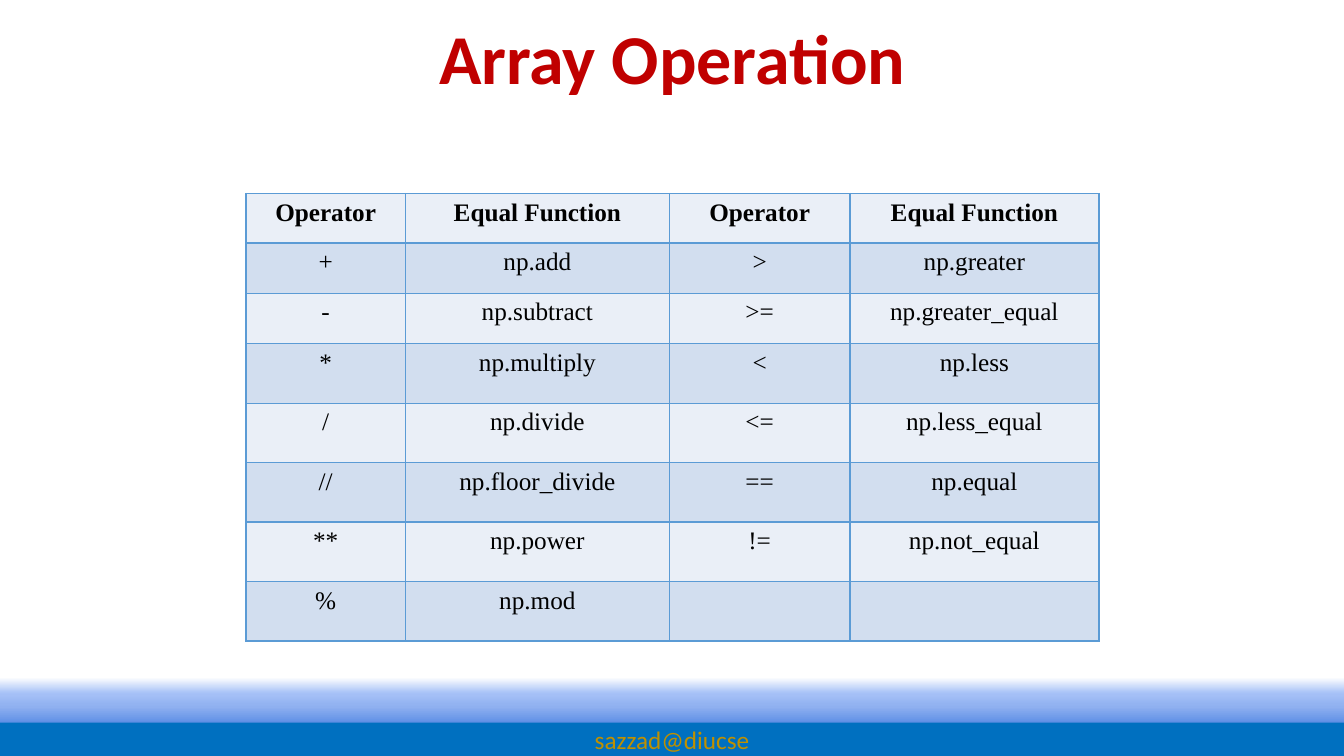
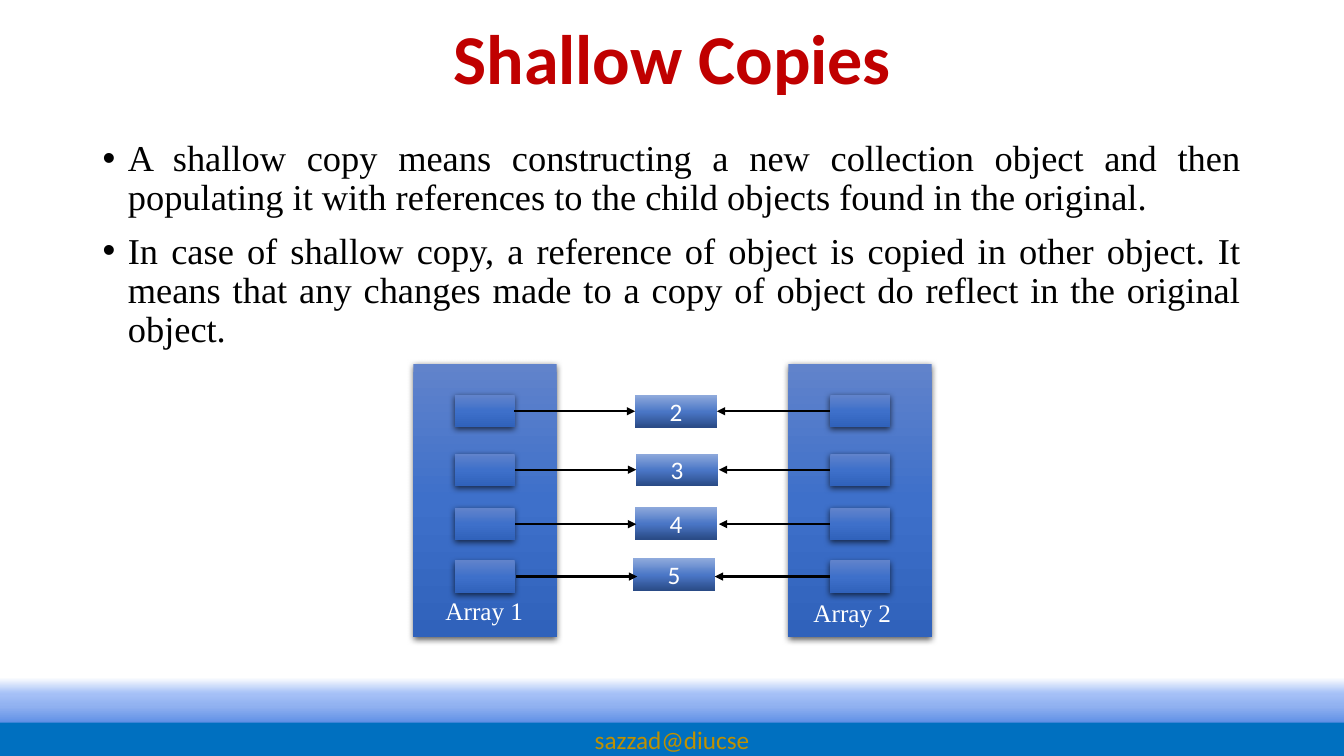
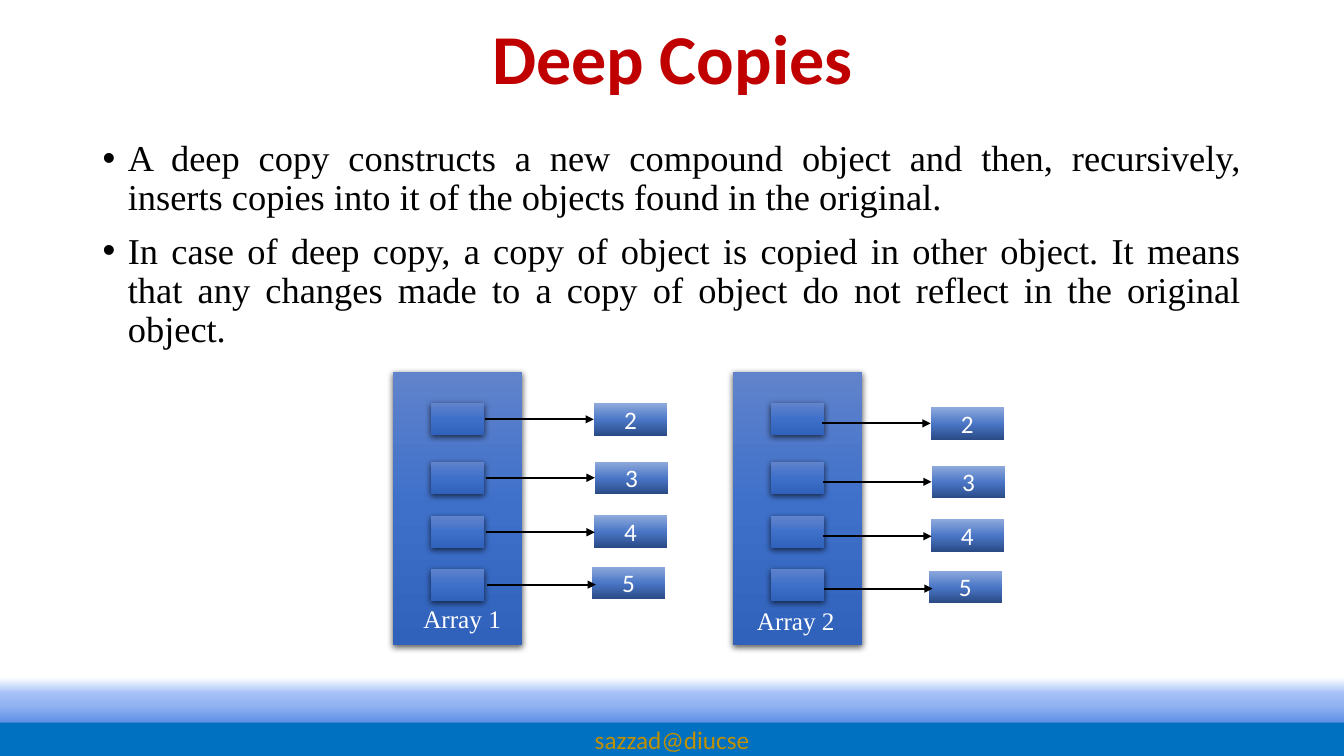
from dataclasses import dataclass

from lxml.etree import SubElement
from pptx import Presentation
from pptx.dml.color import RGBColor
from pptx.enum.shapes import MSO_CONNECTOR, MSO_SHAPE
from pptx.enum.text import MSO_ANCHOR, MSO_AUTO_SIZE, PP_ALIGN
from pptx.oxml.ns import qn
from pptx.util import Inches, Pt


@dataclass(frozen=True)
class Theme:
    heading_font: str = "Calibri"
    body_font: str = "Times New Roman"
    title_size: int = 50
    body_size: int = 26
    small_size: int = 18
    title: str = "C00000"
    ink: str = "000000"
    light: str = "FFFFFF"
    footer: str = "0070C0"
    footer_text: str = "BF9000"
    table_line: str = "5B9BD5"
    table_bands: tuple = ("EAEFF7", "D2DEEF")
    glow: tuple = ((0, "FFFFFF"), (35, "A6C1F7"), (65, "8FB0F0"), (100, "5F90E6"))
    panel: tuple = ((0, "6183CB"), (50, "3E70CA"), (100, "3062BB"))
    value: tuple = ((0, "8FAADC"), (52, "4A76C6"), (100, "2A4B86"))


@dataclass(frozen=True)
class Box:
    left: float
    top: float
    width: float
    height: float

    @property
    def right(self):
        return self.left + self.width

    def inches(self):
        return [Inches(length) for length in (self.left, self.top, self.width, self.height)]


THEME = Theme()
TITLE_BOX = Box(1.72, 0.09, 9.9, 0.94)
GLOW_BOX = Box(0, 6.72, 13.33, 0.45)
FOOTER_BOX = Box(0, 7.17, 13.33, 0.33)
BODY_BOX = Box(0.92, 1.34, 11.5, 2.2)
TABLE_BOX = Box(2.44, 1.92, 8.46, 4.43)

COLUMN_WIDTHS = (1.58, 2.62, 1.79, 2.47)
ROW_HEIGHTS = (0.49, 0.5, 0.5, 0.59, 0.59, 0.59, 0.59, 0.59)
OPERATORS = (
    ("Operator", "Equal Function", "Operator", "Equal Function"),
    ("+", "np.add", ">", "np.greater"),
    ("-", "np.subtract", ">=", "np.greater_equal"),
    ("*", "np.multiply", "<", "np.less"),
    ("/", "np.divide", "<=", "np.less_equal"),
    ("//", "np.floor_divide", "==", "np.equal"),
    ("**", "np.power", "!=", "np.not_equal"),
    ("%", "np.mod", "", ""),
)

SLOT_OFFSETS = (0.31, 0.89, 1.43, 1.95)
VALUE_OFFSETS = (0.31, 0.89, 1.42, 1.93)
VALUE_SHIFTS = (0, 0.01, 0, -0.02)
ARROW_SHIFTS = (0, 0.01, 0.01, 0.02)
SLOT_HEIGHT = 0.32
VALUES = ("2", "3", "4", "5")

SHALLOW_POINTS = (
    "A shallow copy means constructing a new collection object and then populating it "
    "with references to the child objects found in the original.",
    "In case of shallow copy, a reference of object is copied in other object. It means "
    "that any changes made to a copy of object do reflect in the original object.",
)
DEEP_POINTS = (
    "A deep copy constructs a new compound object and then, recursively, inserts copies "
    "into it of the objects found in the original.",
    "In case of deep copy, a copy of object is copied in other object. It means that any "
    "changes made to a copy of object do not reflect in the original object.",
)


def add_run(paragraph, text, font, size, color, bold=False):
    run = paragraph.add_run()
    run.text = text
    run.font.name = font
    run.font.size = Pt(size)
    run.font.bold = bold
    run.font.color.rgb = RGBColor.from_string(color)


def fill_gradient(shape, stops):
    shape.fill.gradient()
    shape.fill.gradient_angle = 270
    stop_list = shape.element.spPr.find(qn("a:gradFill")).find(qn("a:gsLst"))
    for stop in list(stop_list):
        stop_list.remove(stop)
    for position, color in stops:
        stop = SubElement(stop_list, qn("a:gs"), pos=str(position * 1000))
        SubElement(stop, qn("a:srgbClr"), val=color)


def add_shadow(shape, alpha, blur, distance, angle):
    effects = shape.element.spPr.find(qn("a:effectLst"))
    shadow = SubElement(
        effects, qn("a:outerShdw"), blurRad=str(Pt(blur)), dist=str(Pt(distance)),
        dir=str(angle * 60000), algn="ctr", rotWithShape="0",
    )
    color = SubElement(shadow, qn("a:srgbClr"), val=THEME.ink)
    SubElement(color, qn("a:alpha"), val=str(alpha * 1000))


def add_rectangle(slide, box, fill, text="", color=THEME.light):
    shape = slide.shapes.add_shape(MSO_SHAPE.RECTANGLE, *box.inches())
    shape.shadow.inherit = False
    shape.line.fill.background()
    if isinstance(fill, str):
        shape.fill.solid()
        shape.fill.fore_color.rgb = RGBColor.from_string(fill)
    else:
        fill_gradient(shape, fill)
    if text:
        shape.text_frame.vertical_anchor = MSO_ANCHOR.MIDDLE
        paragraph = shape.text_frame.paragraphs[0]
        paragraph.alignment = PP_ALIGN.CENTER
        add_run(paragraph, text, THEME.heading_font, THEME.small_size, color)
    return shape


def add_text_frame(slide, box):
    text_frame = slide.shapes.add_textbox(*box.inches()).text_frame
    text_frame.word_wrap = True
    return text_frame


def add_base_slide(presentation, title):
    slide = presentation.slides.add_slide(presentation.slide_layouts.get_by_name("Title Only"))
    placeholder = slide.shapes.title
    placeholder.left, placeholder.top, placeholder.width, placeholder.height = TITLE_BOX.inches()
    text_frame = placeholder.text_frame
    text_frame.auto_size = MSO_AUTO_SIZE.NONE
    text_frame.vertical_anchor = MSO_ANCHOR.TOP
    paragraph = text_frame.paragraphs[0]
    paragraph.alignment = PP_ALIGN.CENTER
    add_run(paragraph, title, THEME.heading_font, THEME.title_size, THEME.title, True)
    add_rectangle(slide, GLOW_BOX, THEME.glow)
    footer = add_rectangle(slide, FOOTER_BOX, THEME.footer, "sazzad@diucse", THEME.footer_text)
    add_shadow(footer, 30, 15, 18, 45)
    return slide


def add_bullets(slide, box, points):
    text_frame = add_text_frame(slide, box)
    for index, point in enumerate(points):
        paragraph = text_frame.add_paragraph() if index else text_frame.paragraphs[0]
        paragraph.alignment = PP_ALIGN.JUSTIFY
        paragraph.line_spacing = 0.9
        paragraph.space_before = Pt(10)
        add_run(paragraph, point, THEME.body_font, THEME.body_size, THEME.ink)
        properties = paragraph._p.get_or_add_pPr()
        properties.set("marL", str(Inches(0.25)))
        properties.set("indent", str(Inches(-0.25)))
        SubElement(properties, qn("a:buFont"), typeface="Arial")
        SubElement(properties, qn("a:buChar"), char="•")


def format_cell(cell, text, fill, bold):
    properties = cell._tc.get_or_add_tcPr()
    for side in ("a:lnL", "a:lnR", "a:lnT", "a:lnB"):
        line = SubElement(properties, qn(side), w=str(Pt(1)))
        SubElement(SubElement(line, qn("a:solidFill")), qn("a:srgbClr"), val=THEME.table_line)
    cell.fill.solid()
    cell.fill.fore_color.rgb = RGBColor.from_string(fill)
    if text:
        paragraph = cell.text_frame.paragraphs[0]
        paragraph.alignment = PP_ALIGN.CENTER
        add_run(paragraph, text, THEME.body_font, THEME.small_size, THEME.ink, bold)


def add_operator_table(slide, box):
    frame = slide.shapes.add_table(len(OPERATORS), len(COLUMN_WIDTHS), *box.inches())
    table = frame.table
    table.first_row = False
    table.horz_banding = False
    for column, width in zip(table.columns, COLUMN_WIDTHS):
        column.width = Inches(width)
    for row_index, (row, height) in enumerate(zip(table.rows, ROW_HEIGHTS)):
        row.height = Inches(height)
        for cell, text in zip(row.cells, OPERATORS[row_index]):
            format_cell(cell, text, THEME.table_bands[row_index % 2], row_index == 0)


def add_array_panel(slide, box, label, label_left, label_top):
    slot_width = round(box.width * 0.415, 2)
    slot_left = box.left + (box.width - slot_width) / 2
    slots = [Box(slot_left, box.top + offset, slot_width, SLOT_HEIGHT) for offset in SLOT_OFFSETS]
    for part in (box, *slots):
        add_shadow(add_rectangle(slide, part, THEME.panel), 63, 4.5, 1.5, 90)
    label_box = Box(box.left + label_left, box.top + label_top, 1.1, 0.4)
    paragraph = add_text_frame(slide, label_box).paragraphs[0]
    add_run(paragraph, label, THEME.body_font, THEME.small_size, THEME.light)


def add_values(slide, left, top, width):
    for value, offset, shift in zip(VALUES, VALUE_OFFSETS, VALUE_SHIFTS):
        box = Box(left + shift, top + offset, width, SLOT_HEIGHT)
        add_rectangle(slide, box, THEME.value, value)


def add_arrows(slide, top, starts, ends):
    for offset, start, end in zip(SLOT_OFFSETS, starts, ends):
        height = Inches(top + offset + SLOT_HEIGHT / 2)
        arrow = slide.shapes.add_connector(
            MSO_CONNECTOR.STRAIGHT, Inches(start), height, Inches(end), height
        )
        arrow.line.width = Pt(1.5)
        arrow.line.color.rgb = RGBColor.from_string(THEME.ink)
        properties = arrow.element.spPr
        SubElement(properties.get_or_add_ln(), qn("a:tailEnd"), type="triangle")
        SubElement(properties, qn("a:effectLst"))


def add_parallel_arrows(slide, top, left, length):
    starts = [left + shift for shift in ARROW_SHIFTS]
    add_arrows(slide, top, starts, [start + length for start in starts])


def add_shallow_diagram(slide, box):
    panel_width, value_width = 1.42, 0.81
    first = Box(box.left, box.top, panel_width, box.height)
    second = Box(box.right - panel_width, box.top, panel_width, box.height)
    add_array_panel(slide, first, "Array 1", 0.22, 2.25)
    add_array_panel(slide, second, "Array 2", 0.15, 2.27)
    value_left = box.left + 2.2
    add_values(slide, value_left, box.top, value_width)
    add_parallel_arrows(slide, box.top, first.left + 1, 1.2)
    ends = [value_left + value_width + shift for shift in (0, 0.02, 0.02, -0.02)]
    add_arrows(slide, box.top, [second.left + 0.41] * len(ends), ends)


def add_deep_diagram(slide, box):
    panel_width, value_width, length = 1.28, 0.73, 1.08
    first = Box(box.left, box.top, panel_width, box.height)
    second = Box(box.left + 3.37, box.top, panel_width, box.height)
    add_array_panel(slide, first, "Array 1", 0.2, 2.25)
    add_array_panel(slide, second, "Array 2", 0.14, 2.27)
    for arrow_left, top in ((first.left + 0.91, box.top), (second.left + 0.88, box.top + 0.04)):
        add_values(slide, arrow_left + length, top, value_width)
        add_parallel_arrows(slide, top, arrow_left, length)


def build_operation_slide(presentation):
    slide = add_base_slide(presentation, "Array Operation")
    add_operator_table(slide, TABLE_BOX)


def build_copies_slide(presentation, title, points, add_diagram, diagram_box):
    slide = add_base_slide(presentation, title)
    add_bullets(slide, BODY_BOX, points)
    add_diagram(slide, diagram_box)


def main():
    presentation = Presentation()
    presentation.slide_width = Inches(13.33)
    presentation.slide_height = Inches(7.5)
    build_operation_slide(presentation)
    build_copies_slide(
        presentation, "Shallow Copies", SHALLOW_POINTS,
        add_shallow_diagram, Box(4.1, 3.61, 5.14, 2.71),
    )
    build_copies_slide(
        presentation, "Deep Copies", DEEP_POINTS,
        add_deep_diagram, Box(3.9, 3.69, 6.06, 2.71),
    )
    presentation.save("out.pptx")


if __name__ == "__main__":
    main()
